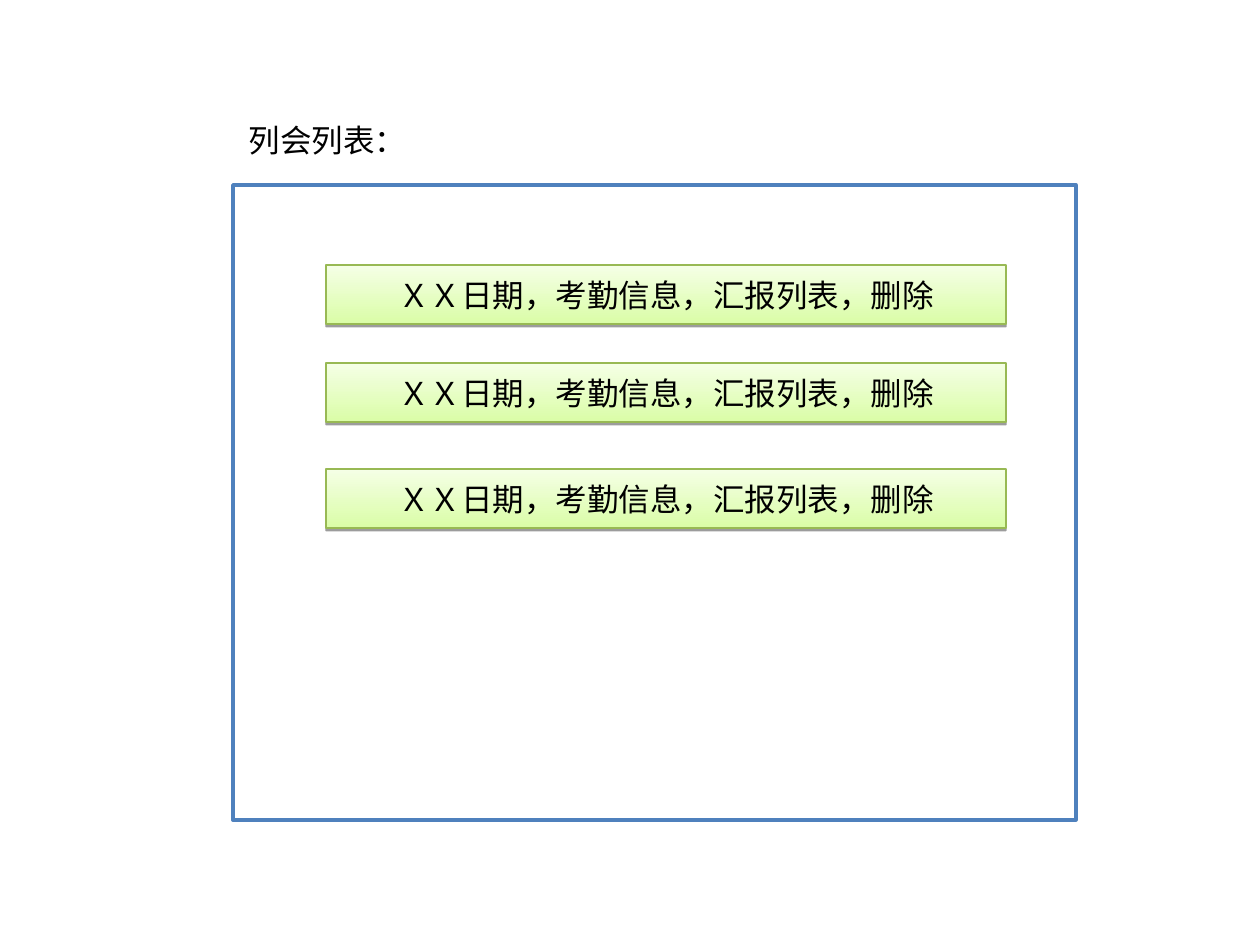
"""Builds the meeting list slide."""
import pptx
import pptx.util
import pptx.dml.color
import pptx.enum.shapes
import pptx.enum.text
import pptx.oxml

PX = 914400 / 126
RECT = pptx.enum.shapes.MSO_SHAPE.RECTANGLE
ALIGN = pptx.enum.text.PP_ALIGN
ANCHOR = pptx.enum.text.MSO_ANCHOR
SHADE = """<a:effectLst xmlns:a="http://schemas.openxmlformats.org/drawingml/2006/main">
<a:outerShdw blurRad="0" dist="20000" dir="5400000" rotWithShape="0">
<a:srgbClr val="000000"><a:alpha val="38000"/></a:srgbClr>
</a:outerShdw></a:effectLst>"""


def tint(code):
    return pptx.dml.color.RGBColor.from_string(code)


def write(shape, text, align, anchor):
    frame = shape.text_frame
    frame.text = text
    frame.vertical_anchor = anchor
    para = frame.paragraphs[0]
    para.alignment = align
    font = para.runs[0].font
    font.name = "Calibri"
    font.size = pptx.util.Pt(18)
    font.color.rgb = tint("000000")


deck = pptx.Presentation()
deck.slide_width = pptx.util.Inches(10)
deck.slide_height = pptx.util.Inches(7.5)
slide = deck.slides.add_slide(deck.slide_layouts[5])

title = slide.shapes.title
title.left, title.top, title.width, title.height = [
    round(n * PX) for n in (236, 115, 183, 51)]
write(title, "列会列表：", ALIGN.LEFT, ANCHOR.TOP)
title.text_frame.word_wrap = False
title.text_frame.auto_size = pptx.enum.text.MSO_AUTO_SIZE.SHAPE_TO_FIT_TEXT

panel = slide.shapes.add_shape(RECT, *[round(n * PX) for n in (233, 185, 843, 635)])
panel.shadow.inherit = False
panel.fill.solid()
panel.fill.fore_color.rgb = tint("FFFFFF")
panel.line.color.rgb = tint("4F81BD")
panel.line.width = pptx.util.Pt(2)

for top in (265, 363, 469):
    bar = slide.shapes.add_shape(RECT, *[round(n * PX) for n in (326, top, 680, 59)])
    bar.fill.gradient()
    bar.fill.gradient_angle = 90
    for stop, code in zip(bar.fill.gradient_stops, ("DAFDA7", "F5FFE6")):
        stop.color.rgb = tint(code)
    bar.line.color.rgb = tint("98B954")
    bar.line.width = pptx.util.Pt(0.75)
    bar.element.spPr.append(pptx.oxml.parse_xml(SHADE))
    write(bar, "ＸＸ日期，考勤信息，汇报列表，删除", ALIGN.CENTER, ANCHOR.MIDDLE)

deck.save("out.pptx")
